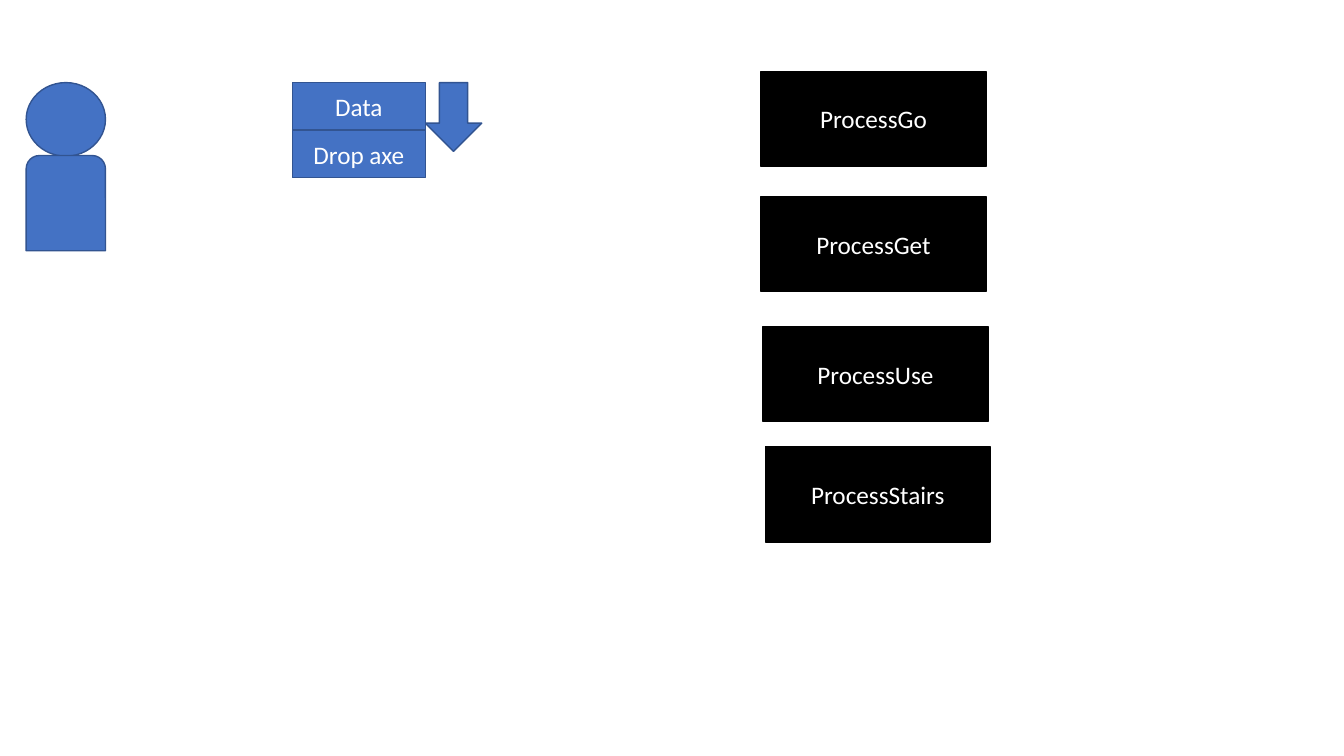
from dataclasses import dataclass

from pptx import Presentation
from pptx.dml.color import RGBColor
from pptx.enum.shapes import MSO_SHAPE
from pptx.enum.text import MSO_ANCHOR, PP_ALIGN
from pptx.util import Inches, Pt

RECT = MSO_SHAPE.RECTANGLE
OVAL = MSO_SHAPE.OVAL
ROUND_TOP = MSO_SHAPE.ROUND_2_SAME_RECTANGLE
DOWN_ARROW = MSO_SHAPE.DOWN_ARROW
CENTER = PP_ALIGN.CENTER
MIDDLE = MSO_ANCHOR.MIDDLE


@dataclass(frozen=True)
class Theme:
    font: str = "Calibri"
    size: int = 18
    text: str = "FFFFFF"
    black: str = "000000"
    blue: str = "4472C4"
    blue_edge: str = "325491"
    edge_width: int = 1


THEME = Theme()

# Grid of 100 columns by 100 rows
WIDTH, HEIGHT = Inches(13.33), Inches(7.5)
COL, ROW = WIDTH / 100, HEIGHT / 100

TOP = 10.93  # shared top of the person and the data stack


def write(sp, text, size=THEME.size, color=THEME.text, align=CENTER):
    tf = sp.text_frame
    tf.word_wrap = True
    tf.vertical_anchor = MIDDLE
    p = tf.paragraphs[0]
    p.alignment = align
    r = p.add_run()
    r.text = text
    r.font.name = THEME.font
    r.font.size = Pt(size)
    r.font.color.rgb = RGBColor.from_string(color)


def add_block(shapes, kind, col, row, cols, rows, text="",
              fill=THEME.blue, edge=THEME.blue_edge):
    sp = shapes.add_shape(kind, round(col * COL), round(row * ROW),
                          round(cols * COL), round(rows * ROW))
    sp.shadow.inherit = False
    sp.fill.solid()
    sp.fill.fore_color.rgb = RGBColor.from_string(fill)
    sp.line.color.rgb = RGBColor.from_string(edge)
    sp.line.width = Pt(THEME.edge_width)
    if text:
        write(sp, text)


def add_processes(s):
    processes = [
        ("ProcessGo", 56.63, 9.42),
        ("ProcessGet", 56.63, 26),
        ("ProcessUse", 56.78, 43.2),
        ("ProcessStairs", 56.95, 59.1),
    ]
    for name, col, row in processes:
        add_block(s.shapes, RECT, col, row, 16.73, 12.6, name,
                  fill=THEME.black, edge=THEME.black)


def add_person(s):
    shapes = s.shapes.add_group_shape().shapes
    col, cols = 1.95, 5.9
    add_block(shapes, OVAL, col, TOP, cols, 9.73)
    add_block(shapes, ROUND_TOP, col, TOP + 9.65, cols, 12.6)


def add_data_stack(s):
    shapes = s.shapes.add_group_shape().shapes
    col, cols, rows = 21.75, 9.9, 6.3
    add_block(shapes, DOWN_ARROW, col + cols, TOP, 4.2, 9.1)
    for i, label in enumerate(["Data", "Drop axe"]):
        add_block(shapes, RECT, col, TOP + i * rows, cols, rows, label)


def main():
    prs = Presentation()
    prs.slide_width, prs.slide_height = WIDTH, HEIGHT
    s = prs.slides.add_slide(prs.slide_layouts[6])
    add_processes(s)
    add_person(s)
    add_data_stack(s)
    prs.save("out.pptx")


if __name__ == "__main__":
    main()
